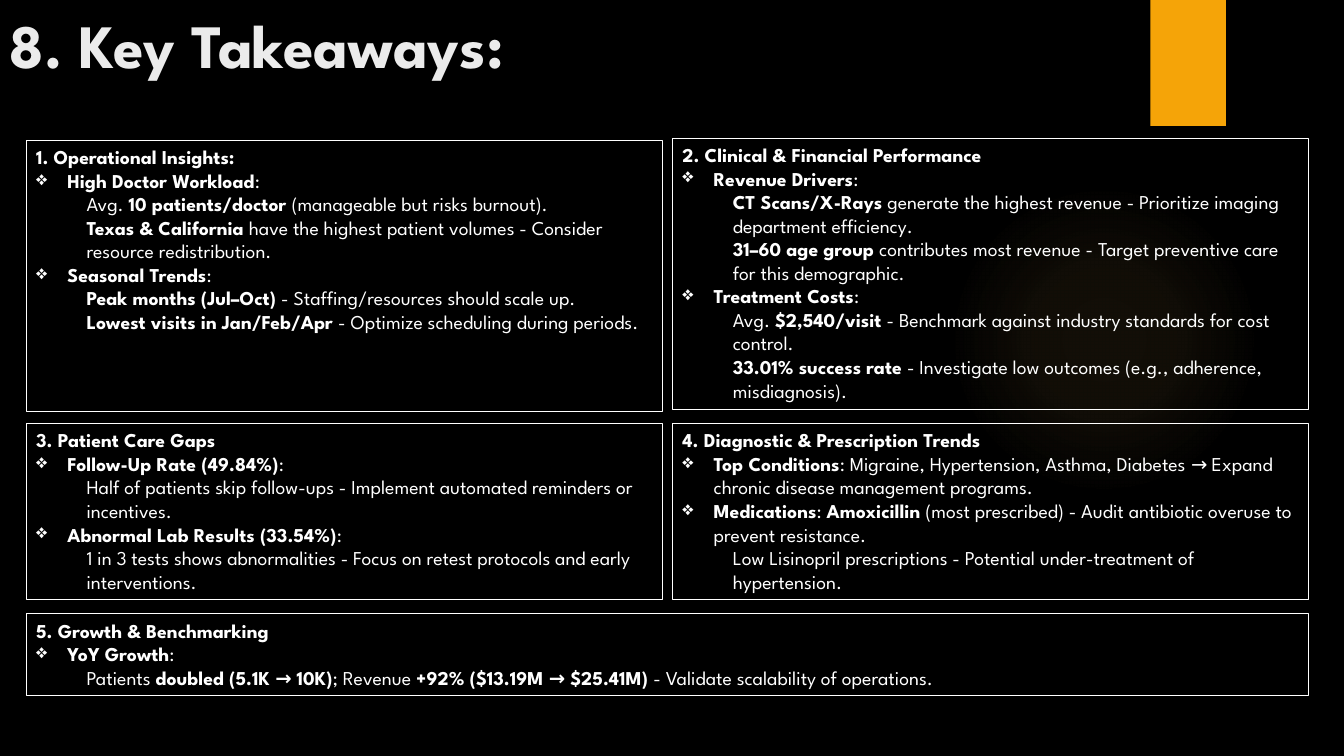
from pptx import Presentation
from pptx.dml.color import RGBColor
from pptx.enum.shapes import MSO_SHAPE
from pptx.enum.text import MSO_ANCHOR, PP_ALIGN
from pptx.oxml import parse_xml
from pptx.oxml.ns import nsdecls, qn
from pptx.util import Inches, Pt

TITLE = "8. Key Takeaways:"

# Each line is (level, text): 0 heading, 1 bulleted, 2 detail; ** switches bold.
OPERATIONS = [
    (0, "**1. Operational Insights:**"),
    (1, "**High Doctor Workload**:"),
    (2, "Avg. **10 patients/doctor** (manageable but risks burnout)."),
    (2, "**Texas & California** have the highest patient volumes - Consider resource redistribution."),
    (1, "**Seasonal Trends**:"),
    (2, "**Peak months (Jul–Oct)** - Staffing/resources should scale up."),
    (2, "**Lowest visits in Jan/Feb/Apr** - Optimize scheduling during periods."),
]
FINANCE = [
    (0, "**2. Clinical & Financial Performance**"),
    (1, "**Revenue Drivers**:"),
    (2, "**CT Scans/X-Rays** generate the highest revenue - Prioritize imaging department efficiency."),
    (2, "**31–60 age group** contributes most revenue - Target preventive care for this demographic."),
    (1, "**Treatment Costs**:"),
    (2, "Avg. **$2,540/visit** - Benchmark against industry standards for cost control."),
    (2, "**33.01% success rate** - Investigate low outcomes (e.g., adherence, misdiagnosis)."),
]
CARE_GAPS = [
    (0, "**3. Patient Care Gaps**"),
    (1, "**Follow-Up Rate (49.84%)**:"),
    (2, "Half of patients skip follow-ups - Implement automated reminders or incentives."),
    (1, "**Abnormal Lab Results (33.54%)**:"),
    (2, "1 in 3 tests shows abnormalities - Focus on retest protocols and early interventions."),
]
PRESCRIPTIONS = [
    (0, "**4. Diagnostic & Prescription Trends**"),
    (1, "**Top Conditions**: Migraine, Hypertension, Asthma, Diabetes → Expand chronic disease "
        "management programs."),
    (1, "**Medications**: **Amoxicillin** (most prescribed) - Audit antibiotic overuse to prevent resistance."),
    (2, "Low Lisinopril prescriptions - Potential under-treatment of hypertension."),
]
GROWTH = [
    (0, "**5. Growth & Benchmarking**"),
    (1, "**YoY Growth**:"),
    (2, "Patients **doubled (5.1K → 10K)**; Revenue **+92% ($13.19M → $25.41M)** "
        "- Validate scalability of operations."),
]

THEME = {
    "font": "League Spartan", "title_size": 44, "body_size": 14, "line_width": 0.75,
    "back": "000000", "title": "EBEBEB", "text": "FFFFFF", "bar": "F5A408", "glow": "FAC96A",
}
GLOW_STOPS = [(0, 7), (36, 6), (69, 0)]  # position %, opacity %
INDENTS = {0: (0, 0), 1: (0.31, -0.31), 2: (0.5, 0)}  # left margin, first line

LEFT, RIGHT, COL_W = 0.26, 6.67, 6.31
FULL_W = RIGHT + COL_W - LEFT
PANELS = [
    (OPERATIONS, LEFT, 1.39, COL_W, 2.69),
    (FINANCE, RIGHT, 1.37, COL_W, 2.69),
    (CARE_GAPS, LEFT, 4.2, COL_W, 1.75),
    (PRESCRIPTIONS, RIGHT, 4.2, COL_W, 1.75),
    (GROWTH, LEFT, 6.09, FULL_W, 0.81),
]


def color(name):
    return RGBColor.from_string(THEME[name])


def style_run(r, size, color_name, bold):
    r.font.name = THEME["font"]
    r.font.size = Pt(THEME[size])
    r.font.color.rgb = color(color_name)
    r.font.bold = bold


def add_plain_shape(s, kind, *box):
    """Add a shape with no shadow, fill or line."""
    sp = s.shapes.add_shape(kind, *map(Inches, box))
    sp.shadow.inherit = False
    sp.fill.background()
    sp.line.fill.background()
    return sp


def add_glow(s):
    sp = add_plain_shape(s, MSO_SHAPE.OVAL, 9.41, 1.83, 3.08, 3.08)
    stops = "".join(
        f'<a:gs pos="{pos * 1000}"><a:srgbClr val="{THEME["glow"]}">'
        f'<a:alpha val="{alpha * 1000}"/></a:srgbClr></a:gs>'
        for pos, alpha in GLOW_STOPS)
    gradient = parse_xml(
        f'<a:gradFill {nsdecls("a")}><a:gsLst>{stops}</a:gsLst><a:path path="circle">'
        '<a:fillToRect l="50000" t="50000" r="50000" b="50000"/></a:path></a:gradFill>')
    props = sp.element.spPr
    props.replace(props.find(qn("a:noFill")), gradient)


def add_bar(s):
    sp = add_plain_shape(s, MSO_SHAPE.RECTANGLE, 11.41, 0, 0.75, 1.25)
    sp.fill.solid()
    sp.fill.fore_color.rgb = color("bar")


def add_title(s):
    tf = s.shapes.add_textbox(0, 0, Inches(9.65), Inches(0.85)).text_frame
    tf.word_wrap = True
    tf.vertical_anchor = MSO_ANCHOR.BOTTOM
    tf.text = TITLE
    style_run(tf.paragraphs[0].runs[0], "title_size", "title", True)


def write_line(p, level, text):
    p.alignment = PP_ALIGN.LEFT
    p.level = 1 if level == 2 else 0
    props = p._p.get_or_add_pPr()
    margin, first = INDENTS[level]
    props.set("marL", str(Inches(margin)))
    props.set("indent", str(Inches(first)))
    bullet = 'buChar char="❖"' if level == 1 else "buNone"
    tag = bullet.split()[0]
    props.append(parse_xml(f'<a:{bullet} {nsdecls("a")}></a:{tag}>'))
    for i, part in enumerate(text.split("**")):
        if part:
            r = p.add_run()
            r.text = part
            style_run(r, "body_size", "text", i % 2 == 1)


def add_panel(s, lines, *box):
    sp = add_plain_shape(s, MSO_SHAPE.RECTANGLE, *box)
    sp.line.color.rgb = color("text")
    sp.line.width = Pt(THEME["line_width"])
    tf = sp.text_frame
    tf.word_wrap = True
    tf.vertical_anchor = MSO_ANCHOR.TOP
    for i, (level, text) in enumerate(lines):
        p = tf.add_paragraph() if i else tf.paragraphs[0]
        write_line(p, level, text)


def main():
    prs = Presentation()
    prs.slide_width, prs.slide_height = Inches(13.33), Inches(7.5)
    s = prs.slides.add_slide(prs.slide_layouts[6])
    s.background.fill.solid()
    s.background.fill.fore_color.rgb = color("back")
    add_glow(s)
    add_bar(s)
    add_title(s)
    for panel in PANELS:
        add_panel(s, *panel)
    prs.save("out.pptx")


if __name__ == "__main__":
    main()
